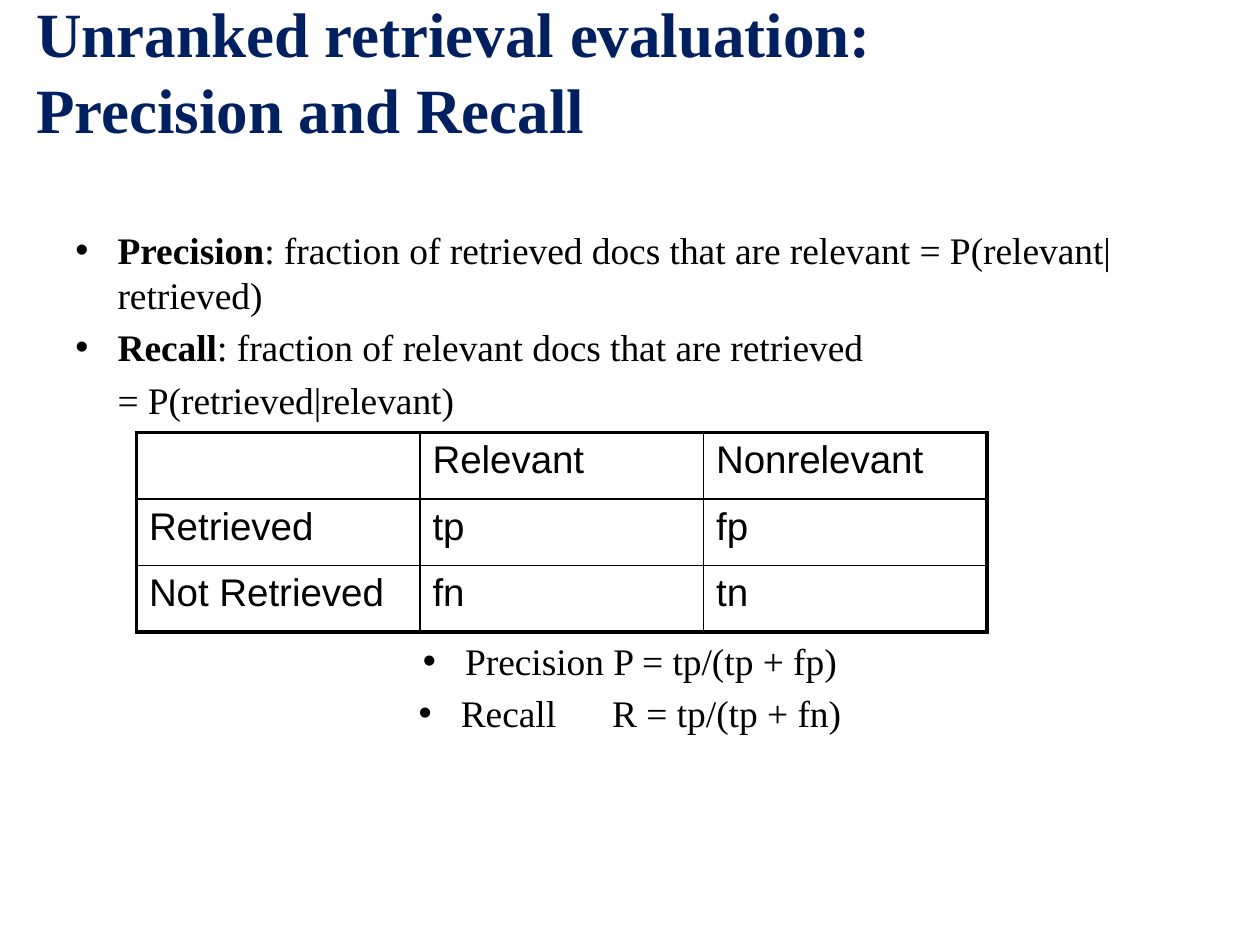
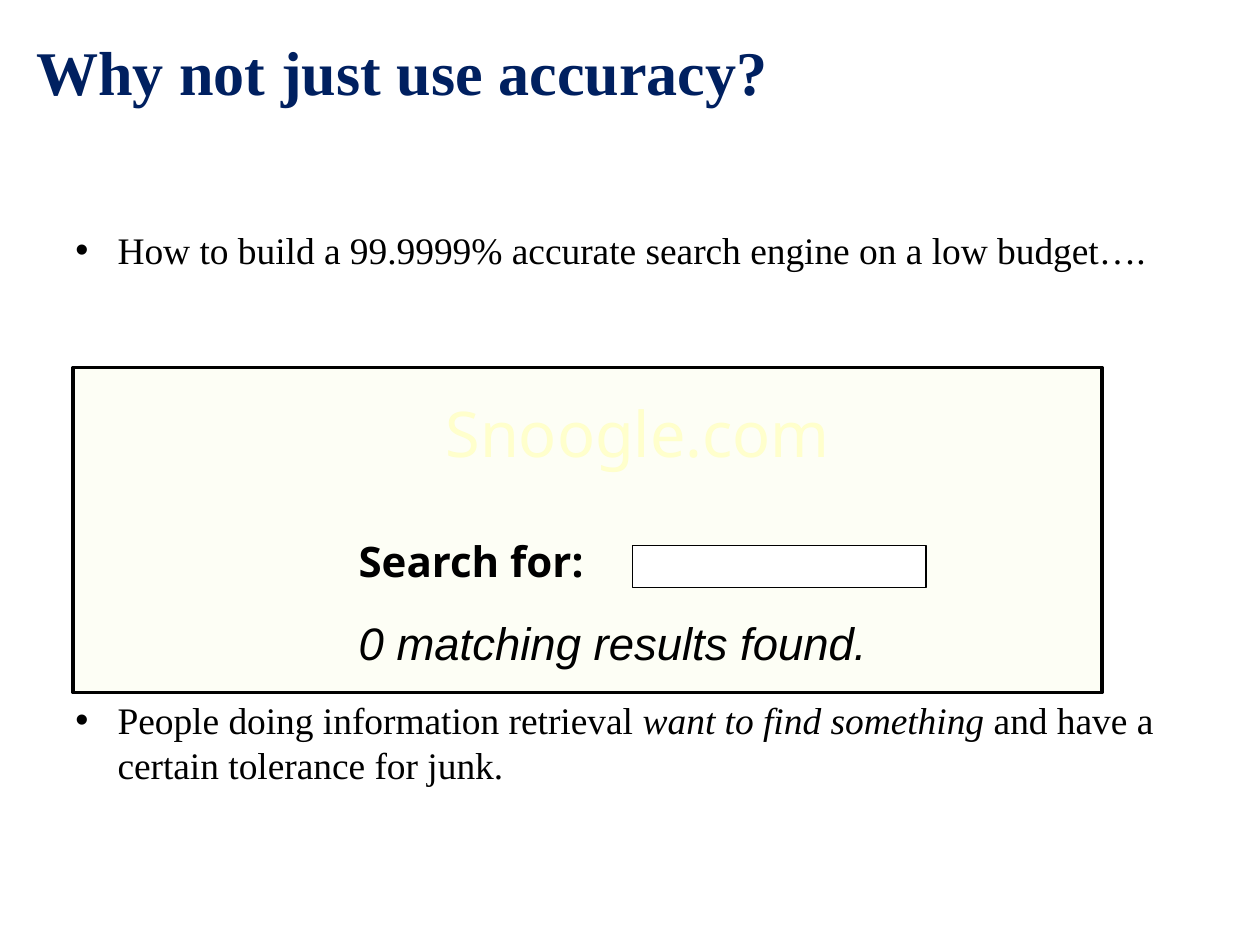
"""Two slides on precision, recall and accuracy in retrieval evaluation."""
from pptx import Presentation
from pptx import util as u
from pptx.dml.color import RGBColor
from pptx.enum import shapes, text
from pptx.oxml import ns, xmlchemy

NAVY = RGBColor(0x00, 0x20, 0x60)
BLACK = RGBColor(0x00, 0x00, 0x00)
WHITE = RGBColor(0xFF, 0xFF, 0xFF)
CREAM = RGBColor(0xFC, 0xFE, 0xEC)
PALE_YELLOW = RGBColor(0xFF, 0xFF, 0xCC)

SERIF, SANS, NOTO = "Times New Roman", "Arial", "Noto Sans"
TITLE = dict(name=SERIF, bold=True)
BODY = dict(name=SERIF, size=u.Pt(21.4))
CELL = dict(name=SANS, size=u.Pt(22))
SITE = dict(name=NOTO, size=u.Pt(36))
SEARCH_LABEL = dict(name=NOTO, size=u.Pt(24), bold=True)
RESULT = dict(name=SANS, size=u.Pt(26), italic=True)
BOLD, ITALIC = dict(bold=True), dict(italic=True)
HANGING = u.Cm(0.85)
GAP = u.Pt(4.26)


def write(paragraph, pieces, style, colour=BLACK):
    """Add each (wording, changes) piece as a run in the given style."""
    for wording, changes in pieces:
        if wording == "\v":
            paragraph.add_line_break()
            continue
        run = paragraph.add_run()
        run.text = wording
        for attribute, value in {**style, **changes}.items():
            setattr(run.font, attribute, value)
        run.font.color.rgb = colour


def text_area(slide, left, top, width, height, wrap=True):
    """Add a text box measured in centimetres and return its frame."""
    frame = slide.shapes.add_textbox(*map(u.Cm, (left, top, width, height))).text_frame
    frame.word_wrap = wrap
    return frame


deck = Presentation()
deck.slide_width, deck.slide_height = u.Cm(25.4), u.Cm(19.05)

contents = [
    (36, [("Unranked retrieval evaluation:", {}), ("\v", {}), ("Precision and Recall", {})], [
        (True, False, GAP, [("Precision", BOLD),
                            (": fraction of retrieved docs that are relevant = P(relevant|retrieved)", {})]),
        (True, False, GAP, [("Recall", BOLD), (": fraction of relevant docs that are retrieved", {})]),
        (False, False, GAP, [("= P(retrieved|relevant)", {})]),
        (True, True, u.Pt(123.7), [("Precision P = tp/(tp + fp)", {})]),
        (True, True, GAP, [("Recall", {}), (" ", {}), ("R = tp/(tp + fn)", {})]),
    ]),
    (35.5, [("Why not just use accuracy?", {})], [
        (True, False, GAP, [("How to build a 99.9999% accurate search engine on a low budget….", {})]),
        (True, False, u.Pt(243), [("People doing information retrieval ", {}),
                                  ("want to find something", ITALIC),
                                  (" and have a certain tolerance for junk.", {})]),
    ]),
]

slides = []
for title_size, title, points in contents:
    slide = deck.slides.add_slide(deck.slide_layouts[6])
    slides.append(slide)

    heading = text_area(slide, 0.48, 0.43, 20.27, 1.98)
    heading.vertical_anchor = text.MSO_ANCHOR.MIDDLE
    write(heading.paragraphs[0], title, {**TITLE, "size": u.Pt(title_size)}, NAVY)

    body = text_area(slide, 1.27, 4.45, 22.86, 12.57)
    for number, (bulleted, centred, space, pieces) in enumerate(points):
        point = body.add_paragraph() if number else body.paragraphs[0]
        point.alignment = text.PP_ALIGN.CENTER if centred else text.PP_ALIGN.LEFT
        point.space_before = space
        write(point, pieces, BODY)
        properties = point._p.get_or_add_pPr()
        properties.set("marL", str(HANGING))
        properties.set("indent", str(-HANGING if bulleted else 0))
        if bulleted:
            for tag, key, value in (("a:buFont", "typeface", SANS), ("a:buChar", "char", "•")):
                bullet = xmlchemy.OxmlElement(tag)
                bullet.set(key, value)
                properties.append(bullet)

measures, accuracy = slides

recall_gap = measures.shapes[1].text_frame.paragraphs[-1].runs[1]
recall_gap._r.get_or_add_rPr().set("spc", "2660")

outcomes = [
    ["", "Relevant", "Nonrelevant"],
    ["Retrieved", "tp", "fp"],
    ["Not Retrieved", "fn", "tn"],
]
last = len(outcomes) - 1
matrix = measures.shapes.add_table(3, 3, u.Cm(2.75), u.Cm(8.72), u.Cm(17.15), u.Cm(4.02)).table
matrix.first_row = matrix.horz_banding = False
for r, row in enumerate(outcomes):
    for c, wording in enumerate(row):
        cell = matrix.cell(r, c)
        write(cell.text_frame.paragraphs[0], [(wording, {})] if wording else [], CELL)
        borders = xmlchemy.OxmlElement("a:tcPr")
        for side, outer in (("L", c == 0), ("R", c == last), ("T", r == 0), ("B", r == last)):
            edge = xmlchemy.OxmlElement(f"a:ln{side}")
            edge.set("w", str(u.Pt(2.25 if outer else 1)))
            paint = xmlchemy.OxmlElement("a:solidFill")
            colour = xmlchemy.OxmlElement("a:srgbClr")
            colour.set("val", str(BLACK))
            paint.append(colour)
            edge.append(paint)
            borders.append(edge)
        cell._tc.get_or_add_tcPr().extend(list(borders))
        cell.fill.background()

panels = [
    (CREAM, 2, (1.47, 7.41, 20.75, 6.55)),
    (WHITE, 0.75, (12.75, 11, 5.92, 0.84)),
]
for fill, weight, place in panels:
    panel = accuracy.shapes.add_shape(shapes.MSO_SHAPE.RECTANGLE, *map(u.Cm, place))
    panel.shadow.inherit = False
    panel.fill.solid()
    panel.fill.fore_color.rgb = fill
    panel.line.color.rgb = BLACK
    panel.line.width = u.Pt(weight)
    if fill == CREAM:
        alpha = xmlchemy.OxmlElement("a:alpha")
        alpha.set("val", "50000")
        panel._element.spPr.find(ns.qn("a:solidFill"))[0].append(alpha)

captions = [
    ("Snoogle.com", SITE, PALE_YELLOW, (8.73, 7.83, 9, 1.8)),
    ("Search for:", SEARCH_LABEL, BLACK, (6.98, 10.67, 5.21, 1.27)),
    ("0 matching results found.", RESULT, BLACK, (6.98, 12.27, 10.77, 1.35)),
]
for wording, style, colour, place in captions:
    write(text_area(accuracy, *place).paragraphs[0], [(wording, {})], style, colour)

deck.save("out.pptx")
